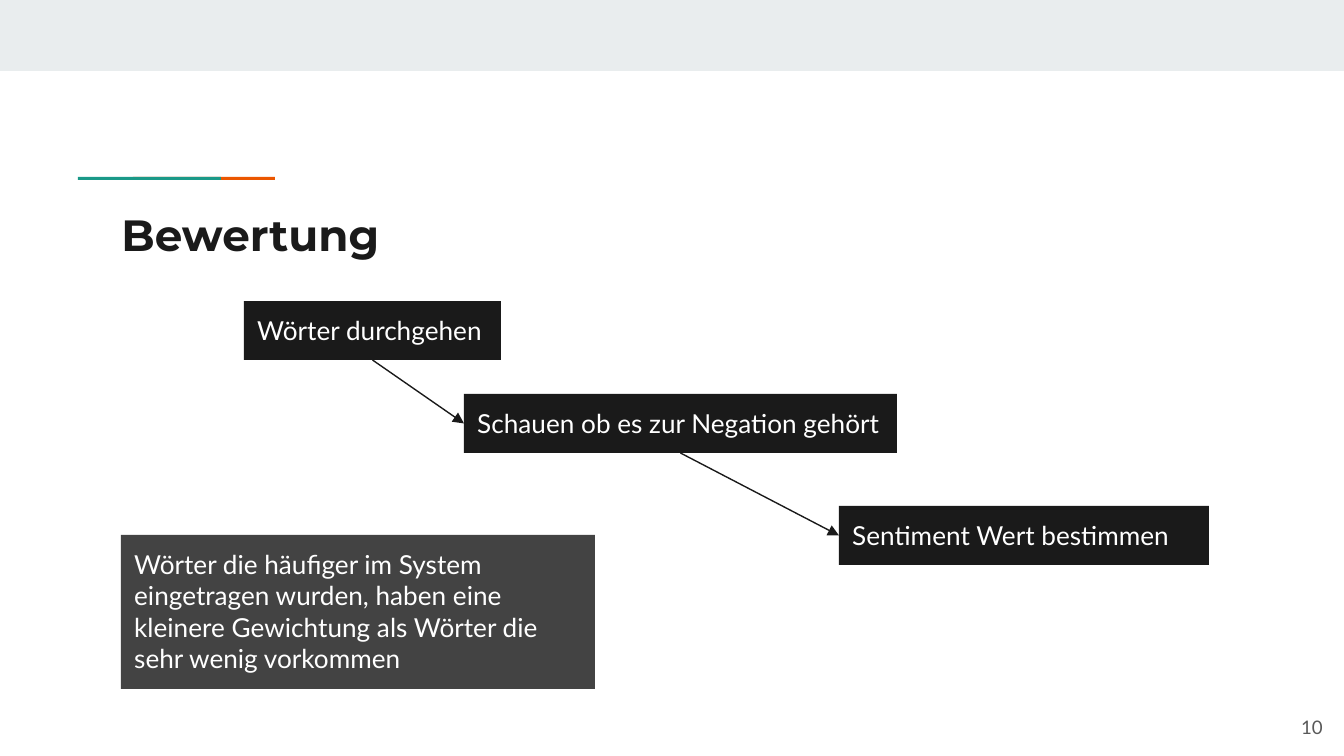
from pptx import Presentation, util as u
from pptx.dml.color import RGBColor
from pptx.enum import shapes, text
from pptx.oxml import parse_xml
from pptx.oxml.ns import nsdecls

PX = 914400 / 134.4
HUES = {"band": "E9EDEE", "teal": "1A9988", "orange": "EB5600", "ink": "1A1A1A",
        "note": "434343", "white": "FFFFFF", "grey": "595959"}


def rect(box, hue):
    shape = slide.shapes.add_shape(shapes.MSO_SHAPE.RECTANGLE, *[round(v * PX) for v in box])
    shape.shadow.inherit = False
    shape.fill.solid()
    shape.fill.fore_color.rgb = RGBColor.from_string(HUES[hue])
    shape.line.fill.background()
    return shape


def write(shape, words, size, hue, font="Lato", bold=False,
          align=text.PP_ALIGN.LEFT, anchor=text.MSO_ANCHOR.TOP):
    frame = shape.text_frame
    frame.text = words
    frame.word_wrap = True
    frame.auto_size = text.MSO_AUTO_SIZE.NONE
    frame.vertical_anchor = anchor
    frame.margin_left = frame.margin_right = u.Inches(0.1)
    frame.margin_top = frame.margin_bottom = u.Inches(0.1)
    para = frame.paragraphs[0]
    para.alignment = align
    para.font.name = font
    para.font.size = u.Pt(size)
    para.font.bold = bold
    para.font.color.rgb = RGBColor.from_string(HUES[hue])


deck = Presentation()
deck.slide_width = u.Inches(10)
deck.slide_height = u.Inches(5.625)
slide = deck.slides.add_slide(deck.slide_layouts[5])

# Top band and accent line
rect((0, 0, 1344, 71), "band")
rect((133, 177, 142, 3), "orange")
rect((78, 177, 143, 3), "teal")

# Title
title = slide.shapes.title
title.left, title.top, title.width, title.height = [round(v * PX) for v in (108, 194, 1130, 79)]
write(title, "Bewertung", 23.4, "ink", "Montserrat", True)

# Steps
steps = []
for left, top, width, words in [
    (244, 301, 257, "Wörter durchgehen"),
    (464, 394, 433, "Schauen ob es zur Negation gehört"),
    (839, 506, 370, "Sentiment Wert bestimmen"),
]:
    step = rect((left, top, width, 59), "ink")
    write(step, words, 14, "white")
    steps.append(step)

# Arrows from the bottom of each step to the left of the next
for start, end in zip(steps, steps[1:]):
    arrow = slide.shapes.add_connector(shapes.MSO_CONNECTOR.STRAIGHT, 0, 0, 0, 0)
    arrow.begin_connect(start, 2)
    arrow.end_connect(end, 1)
    arrow.line.width = u.Pt(0.75)
    arrow.line.color.rgb = RGBColor.from_string(HUES["ink"])
    arrow.line._get_or_add_ln().append(
        parse_xml(f'<a:tailEnd {nsdecls("a")} type="triangle" w="med" len="med"/>'))
    arrow._element.spPr.append(parse_xml(f'<a:effectLst {nsdecls("a")}/>'))

# Note
note = rect((121, 535, 474, 154), "note")
write(note, "Wörter die häufiger im System eingetragen wurden, haben eine kleinere "
      "Gewichtung als Wörter die sehr wenig vorkommen", 14, "white")

# Page number
page = slide.shapes.add_textbox(*[round(v * PX) for v in (1255, 698, 81, 58)])
write(page, "10", 10, "grey", align=text.PP_ALIGN.RIGHT, anchor=text.MSO_ANCHOR.MIDDLE)

deck.save("out.pptx")
